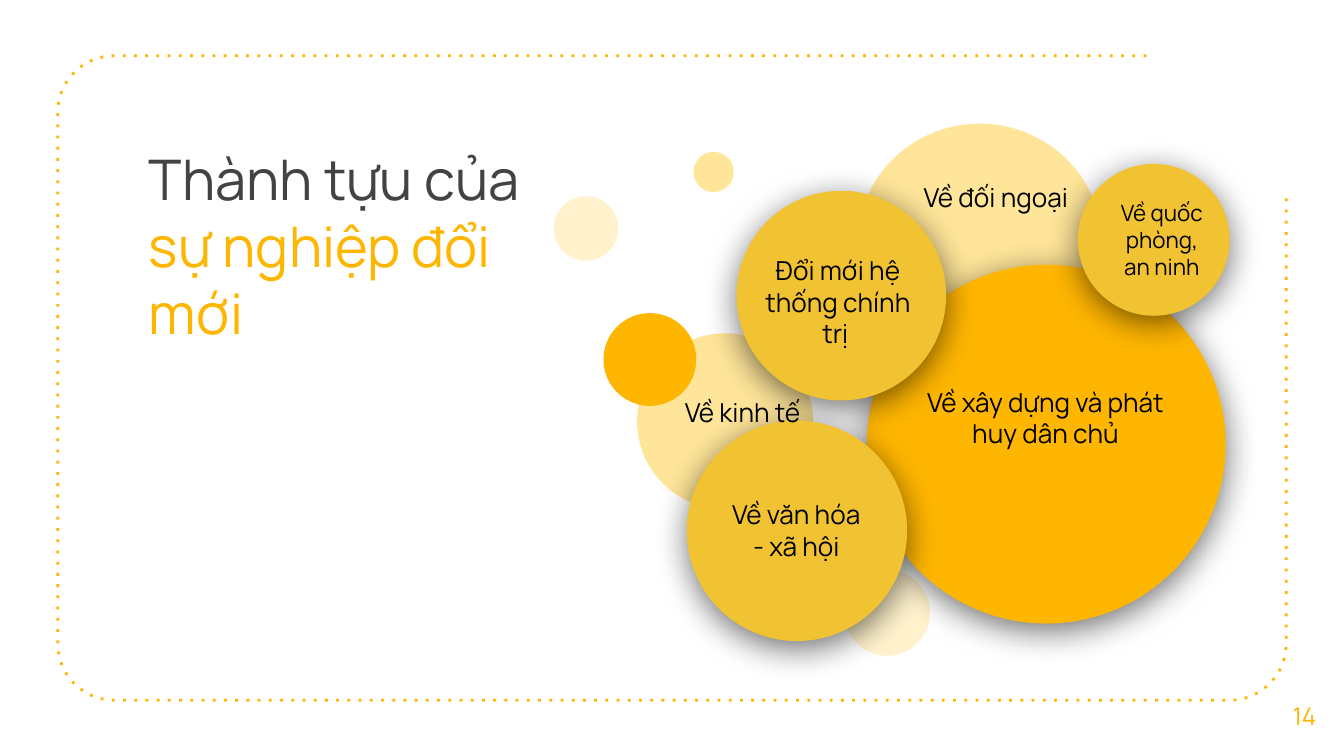
from math import cos, radians, sin

from lxml import etree
from pptx import Presentation
from pptx.dml.color import RGBColor
from pptx.enum.shapes import MSO_SHAPE
from pptx.enum.text import MSO_ANCHOR, PP_ALIGN
from pptx.oxml import parse_xml
from pptx.oxml.ns import qn
from pptx.util import Inches, Pt

OVAL, RECT = MSO_SHAPE.OVAL, MSO_SHAPE.RECTANGLE
TOP, MIDDLE = MSO_ANCHOR.TOP, MSO_ANCHOR.MIDDLE
LEFT, CENTER = PP_ALIGN.LEFT, PP_ALIGN.CENTER

AMBER = RGBColor(0xFF, 0xB6, 0x00)
GOLD = RGBColor(0xF1, 0xC2, 0x32)
SAND = RGBColor(0xFF, 0xE5, 0x99)
CREAM = RGBColor(0xFF, 0xF2, 0xCC)
CHARCOAL = RGBColor(0x43, 0x43, 0x43)
BLACK = RGBColor(0x00, 0x00, 0x00)
FONT = "Manrope"

# 16:9 slide
prs = Presentation()
prs.slide_width = Inches(10)
prs.slide_height = prs.slide_width * 9 // 16
slide = prs.slides.add_slide(prs.slide_layouts[6])
shapes = slide.shapes

# Square grid: 100 columns by 56.25 rows
COL = prs.slide_width / 100
ROW = prs.slide_height / 56.25

SHADOW = (
    '<a:effectLst xmlns:a="http://schemas.openxmlformats.org/drawingml/2006/main">'
    f'<a:outerShdw blurRad="{Pt(18)}" dist="{Pt(4)}" dir="5400000" algn="bl" rotWithShape="0">'
    '<a:srgbClr val="000000"><a:alpha val="55000"/></a:srgbClr>'
    '</a:outerShdw></a:effectLst>'
)


def add_bubble(col, row, size, color, raised=False):
    bubble = shapes.add_shape(OVAL, int(col * COL), int(row * ROW), int(size * COL), int(size * ROW))
    bubble.fill.solid()
    bubble.fill.fore_color.rgb = color
    bubble.line.fill.background()
    bubble.shadow.inherit = False
    if raised:
        properties = bubble._element.spPr
        properties.replace(properties.find(qn("a:effectLst")), parse_xml(SHADOW))


def add_label(box, runs, size, align=CENTER, anchor=MIDDLE, inset=1, fill=None):
    col, row, cols, rows = box
    area = int(col * COL), int(row * ROW), int(cols * COL), int(rows * ROW)
    if fill is None:
        label = shapes.add_textbox(*area)
    else:
        label = shapes.add_shape(RECT, *area)
        label.fill.solid()
        label.fill.fore_color.rgb = fill
        label.line.fill.background()
        label.shadow.inherit = False
    frame = label.text_frame
    frame.word_wrap = True
    frame.vertical_anchor = anchor
    frame.margin_left = frame.margin_right = int(COL)
    frame.margin_top = frame.margin_bottom = int(inset * ROW)
    paragraph = frame.paragraphs[0]
    paragraph.alignment = align
    for text, color in runs:
        run = paragraph.add_run()
        run.text = text
        run.font.name = FONT
        run.font.size = Pt(size)
        run.font.color.rgb = color


# Dotted border, open at the top right, with three rounded corners
RADIUS = 4.2
border_points = [(85.3, 4.15)]
for center_col, center_row, start in [(8.5, 8.35, 270), (8.5, 47.9, 180), (91.5, 47.9, 90)]:
    for step in range(17):
        angle = radians(start - step * 90 / 16)
        border_points.append((center_col + RADIUS * cos(angle), center_row + RADIUS * sin(angle)))
border_points.append((95.7, 14.6))
border_points = [(int(col * COL), int(row * ROW)) for col, row in border_points]
builder = shapes.build_freeform(*border_points[0])
builder.add_line_segments(border_points[1:], close=False)
border = builder.convert_to_shape()
border.fill.background()
border.line.color.rgb = AMBER
border.line.width = Pt(1.5)
border.shadow.inherit = False
etree.SubElement(border._element.spPr.find(qn("a:ln")), qn("a:prstDash")).set("val", "dot")

# Title and page number
add_label((10.1, 9.75, 29.7, 29.5), [("Thành tựu của ", CHARCOAL), ("sự nghiệp đổi mới", AMBER)],
          30, align=LEFT, anchor=TOP)
add_label((94.1, 50.25, 5.9, 6), [("14", AMBER)], 13)

# Flat background bubbles: column, row, diameter, colour
for bubble in [
    (62.8, 42.4, 6.4, CREAM),
    (41.2, 14.6, 4.8, CREAM),
    (47.4, 24.8, 13.1, SAND),
    (63.7, 9.2, 18.4, SAND),
    (44.9, 23.3, 6.9, AMBER),
    (51.6, 11.3, 3, SAND),
]:
    add_bubble(*bubble)

# Raised bubbles, each with its topic: bubble, label box, text, size, inset, label fill
for bubble, box, topic, size, inset, fill in [
    ((64.5, 19.7, 26.7, AMBER), (67.6, 24.7, 20.4, 12.7), "Về xây dựng và phát huy dân chủ", 14, 1, AMBER),
    ((54.8, 14.2, 15.6, GOLD), (55.6, 18.4, 13.5, 8.1), "Đổi mới hệ thống chính trị ", 14, 0.5, None),
    ((51.1, 31.3, 16.4, GOLD), (53.4, 34.3, 11.7, 10.3), "Về văn hóa - xã hội", 14, 1, None),
    ((80.2, 12.2, 11.3, GOLD), (82, 14.1, 8.9, 7.5), "Về quốc phòng, an ninh", 12, 1, None),
]:
    add_bubble(*bubble, raised=True)
    add_label(box, [(topic, BLACK)], size, inset=inset, fill=fill)

# Topics over the flat bubbles
for box, topic in [
    ((48.3, 29, 13.9, 3.4), "Về kinh tế"),
    ((61.5, 13, 25.2, 3.4), "Về đối ngoại"),
]:
    add_label(box, [(topic, BLACK)], 14, anchor=TOP, inset=0.5)

prs.save("out.pptx")
